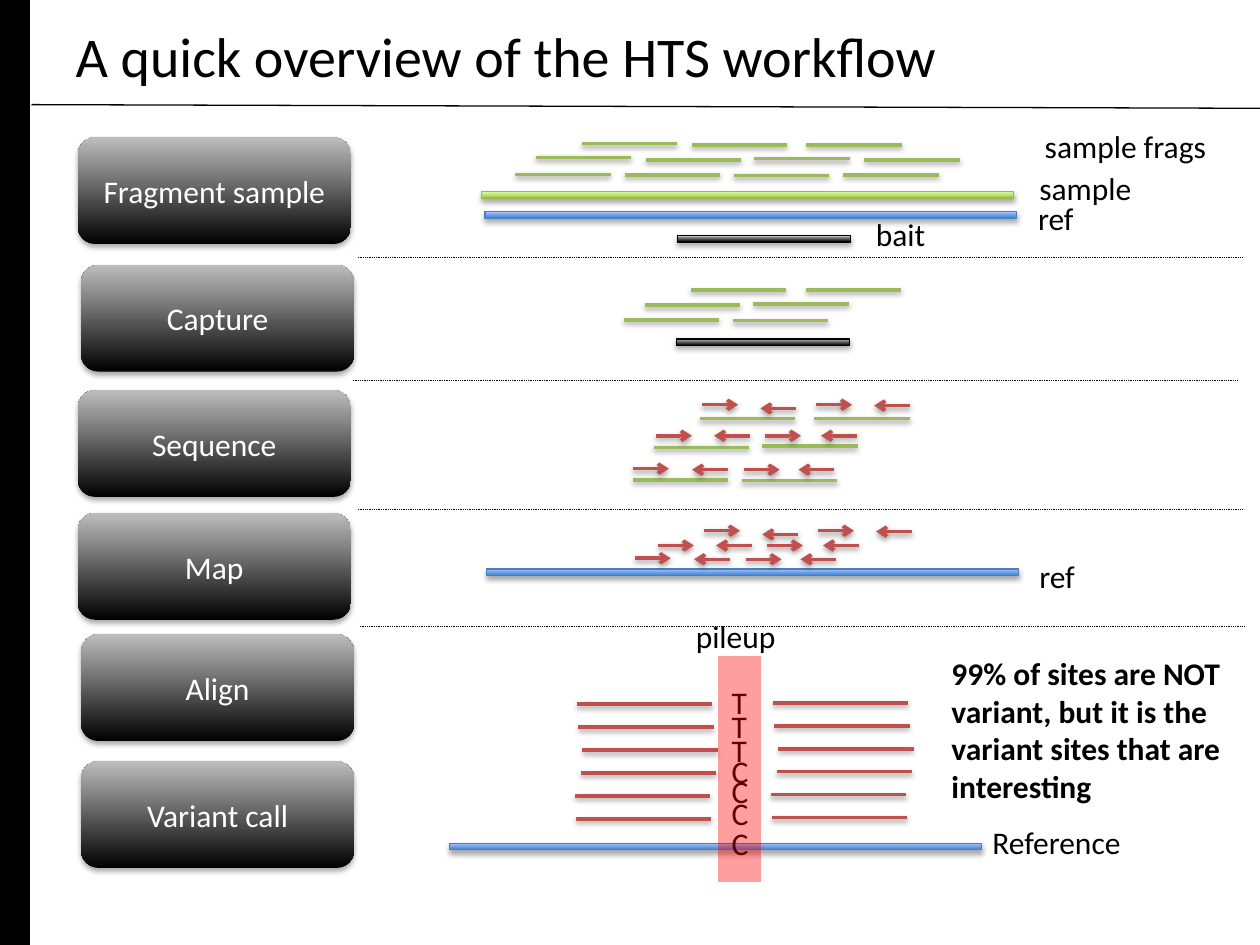
from lxml import etree
from pptx import Presentation
from pptx.dml.color import RGBColor
from pptx.enum import dml, shapes, text
from pptx.oxml import ns
from pptx.util import Pt

HUES = {"black": "000000", "white": "FFFFFF", "gray": "BDBDBD",
        "blue": "3F80CE", "sky": "A4C4FF", "navy": "4B7EBC",
        "leaf": "A0CA4A", "lime": "DAFFA5", "moss": "98B955",
        "green": "9BBB59", "red": "C0504D", "pink": "FF0000"}
RGB = {name: RGBColor.from_string(hue) for name, hue in HUES.items()}

deck = Presentation()
deck.slide_width, deck.slide_height = Pt(720), Pt(540)
slide = deck.slides.add_slide(deck.slide_layouts[5])
parts = slide.shapes


def shade(shape, dist, alpha):
    """Give a shape a soft shadow straight below it."""
    effects = etree.SubElement(shape._element.spPr, ns.qn("a:effectLst"))
    outer = etree.SubElement(effects, ns.qn("a:outerShdw"), blurRad="40000",
                             dist=str(dist), dir="5400000", rotWithShape="0")
    black = etree.SubElement(outer, ns.qn("a:srgbClr"), val=HUES["black"])
    etree.SubElement(black, ns.qn("a:alpha"), val=str(alpha * 1000))


def draw(x, y, run, hue, width=2, arrow=False):
    """Draw a level line; a negative run points left."""
    line = parts.add_connector(shapes.MSO_CONNECTOR.STRAIGHT,
                               Pt(x), Pt(y), Pt(x + run), Pt(y))
    line.line.color.rgb = RGB[hue]
    line.line.width = Pt(width)
    if arrow:
        etree.SubElement(line.line._get_or_add_ln(), ns.qn("a:tailEnd"), type="arrow")
    if width == 0.5:
        line.line.dash_style = dml.MSO_LINE.ROUND_DOT
    shade(line, 20000, 38)


# Page frame
edge = parts.add_shape(shapes.MSO_SHAPE.RECTANGLE, Pt(-0.7), 0, Pt(17.5), Pt(540))
edge.shadow.inherit = False
edge.fill.solid()
edge.fill.fore_color.rgb = edge.line.color.rgb = RGB["black"]
edge.line.width = Pt(0.75)
rule = parts.add_connector(shapes.MSO_CONNECTOR.STRAIGHT,
                           Pt(18), Pt(59.8), Pt(720.7), Pt(61.9))
rule.line.color.rgb = RGB["black"]
rule.line.width = Pt(0.75)
etree.SubElement(rule._element.spPr, ns.qn("a:effectLst"))

# Title
title = parts.title
title.left, title.top, title.width, title.height = Pt(36), Pt(2.9), Pt(648), Pt(57.6)
title.text_frame.text = "A quick overview of the HTS workflow"
title.text_frame.vertical_anchor = text.MSO_ANCHOR.MIDDLE
head = title.text_frame.paragraphs[0]
head.alignment = text.PP_ALIGN.LEFT
head.font.size, head.font.name = Pt(32), "Calibri"
head.font.color.rgb = RGB["black"]

# Stage boxes
stages = [("Fragment sample", 44.4, 78.5), ("Capture", 46.3, 151.4),
          ("Sequence", 44.4, 223), ("Map", 44.4, 293.2),
          ("Align", 46.3, 362.5), ("Variant call", 46.3, 435)]
for name, x, y in stages:
    box = parts.add_shape(shapes.MSO_SHAPE.ROUNDED_RECTANGLE,
                          Pt(x), Pt(y), Pt(156.2), Pt(61))
    box.fill.gradient()
    box.fill.gradient_angle = 90
    for stop, hue in zip(box.fill.gradient_stops, ("black", "gray")):
        stop.color.rgb = RGB[hue]
    box.line.fill.background()
    shade(box, 23000, 35)
    box.text_frame.text = name
    box.text_frame.vertical_anchor = text.MSO_ANCHOR.MIDDLE
    para = box.text_frame.paragraphs[0]
    para.alignment = text.PP_ALIGN.CENTER
    para.font.size, para.font.name = Pt(18), "Calibri"
    para.font.color.rgb = RGB["white"]

# Reference, sample and bait bars
ref = (303.8, "blue", "sky", "navy")
sample = (303.8, "leaf", "lime", "moss")
bait = (98.6, "black", "gray", "black")
bars = [(256.9, 481.9, ref), (277.2, 121, ref), (275.3, 109.4, sample),
        (387.3, 134.6, bait), (386.8, 193.7, bait), (278.2, 325.2, ref)]
for x, y, (width, low, high, rim) in bars:
    bar = parts.add_shape(shapes.MSO_SHAPE.RECTANGLE, Pt(x), Pt(y), Pt(width), Pt(3.7))
    bar.fill.gradient()
    bar.fill.gradient_angle = 90
    for stop, hue in zip(bar.fill.gradient_stops, (low, high)):
        stop.color.rgb = RGB[hue]
    bar.line.color.rgb = RGB[rim]
    bar.line.width = Pt(0.75)
    shade(bar, 23000, 35)

# Fragments: those the bait catches return in Capture and Sequence
caught = [[(395.3, 82.8), (460.8, 82.8)],
          [(369, 91.4), (431, 90.7)],
          [(357.1, 99.9), (419.2, 100.3)]]
missed = [(332.6, 82.1), (306, 90), (494, 91.4), (294.5, 99.6), (482, 100)]
for x, y in missed:
    draw(x, y, 54.5, "green")
for row, drop in zip(caught, (156.4, 164.2, 174.3)):
    for x, y in row:
        for dx, dy in ((0, 0), (-0.5, 82.9), (4.6, drop)):
            draw(x + dx, y + dy, 54.5, "green")

# Paired reads, first on their fragments and then on the reference
reads = [([401.3, 455, 466.4, 520], [231.3, 233.4, 231.3, 231.8], 72),
         ([374.9, 428.6, 437.2, 489.7], [249] * 4, 62.7),
         ([361.7, 416, 425, 476.8], [267.8, 268.4, 268.4, 268.4], 51.2)]
for xs, ys, drop in reads:
    for x, y, way in zip(xs, ys, (1, -1, 1, -1)):
        for dx, dy in ((0, 0), (1.1, drop)):
            draw(x + dx, y + dy, way * 20.5, "red", arrow=True)

# Dividers
for x, y in ((204.5, 147), (201.6, 217.2), (204.5, 291), (205.6, 358)):
    draw(x, y, 505.2, "black", 0.5)

# Labels
labels = [("ref", 586.1, 110.2, 67), ("sample frags", 589.9, 69.1, 118),
          ("sample", 586.8, 93, 67), ("bait", 493.4, 119.1, 67),
          ("ref", 586.8, 314.6, 67), ("Reference", 560, 466.9, 101.5),
          ("pileup", 390.5, 349.2, 74)]
bases = zip("TTTCCCC", (386.6, 400.3, 414, 426.4, 437.8, 450.2, 467.3))
labels += [(base, 411, y, 23.8) for base, y in bases]
note = ("99% of sites are NOT variant, but it is the variant sites that are "
        "interesting")
labels.append((note, 536.6, 370.1, 174.2))
for words, x, y, width in labels:
    high = 94.3 if words == note else 29.1
    label = parts.add_textbox(Pt(x), Pt(y), Pt(width), Pt(high))
    frame = label.text_frame
    frame.word_wrap = True
    frame.auto_size = text.MSO_AUTO_SIZE.SHAPE_TO_FIT_TEXT
    frame.text = words
    font = frame.paragraphs[0].font
    font.size, font.name, font.bold = Pt(18), "Calibri", words == note
    font.color.rgb = RGB["black"]

# Pileup column
column = parts.add_shape(shapes.MSO_SHAPE.RECTANGLE,
                         Pt(410.4), Pt(375), Pt(24.5), Pt(129))
column.shadow.inherit = False
column.line.fill.background()
column.fill.solid()
column.fill.fore_color.rgb = RGB["pink"]
tint = column._element.spPr.find(".//" + ns.qn("a:srgbClr"))
etree.SubElement(tint, ns.qn("a:alpha"), val="38000")

# Aligned reads on both sides of the column
for i, x in enumerate((329.8, 330.5, 332.8, 332.1, 328.5, 329.2)):
    y = 402.4 + 13.1 * i
    draw(x, y, 77.3, "red")
    draw(x + 112, y - 0.7, 77.3, "red")

deck.save("out.pptx")
